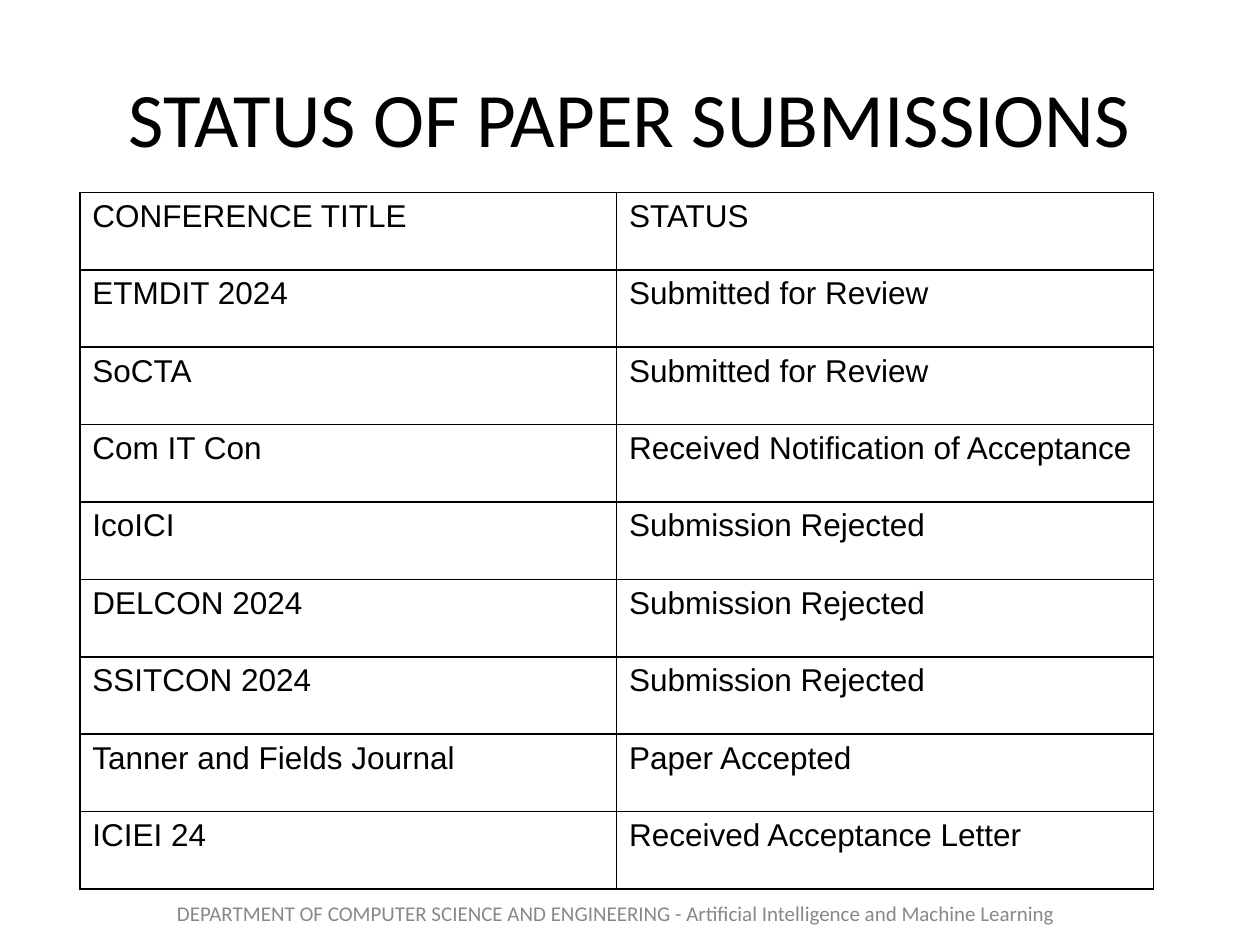
"""Build a slide that lists the status of paper submissions."""
import pptx
import pptx.dml.color
import pptx.enum.text
import pptx.oxml
import pptx.oxml.ns
import pptx.util

Cm = pptx.util.Cm
Pt = pptx.util.Pt
ANCHOR = pptx.enum.text.MSO_ANCHOR
BLACK = pptx.dml.color.RGBColor(0x00, 0x00, 0x00)
GREY = pptx.dml.color.RGBColor(0x88, 0x88, 0x88)

ROWS = [
    ("CONFERENCE TITLE", "STATUS"),
    ("ETMDIT 2024", "Submitted for Review"),
    ("SoCTA", "Submitted for Review"),
    ("Com IT Con", "Received Notification of Acceptance"),
    ("IcoICI", "Submission Rejected"),
    ("DELCON 2024", "Submission Rejected"),
    ("SSITCON 2024", "Submission Rejected"),
    ("Tanner and Fields Journal", "Paper Accepted"),
    ("ICIEI 24", "Received Acceptance Letter"),
]


def style(para, name, size, color):
    for run in para.runs:
        run.font.name = name
        run.font.size = Pt(size)
        run.font.color.rgb = color


def label(text, left, top, width, height, size, color, anchor):
    box = slide.shapes.add_textbox(Cm(left), Cm(top), Cm(width), Cm(height))
    frame = box.text_frame
    frame.word_wrap = True
    frame.vertical_anchor = anchor
    frame.text = text
    para = frame.paragraphs[0]
    para.alignment = pptx.enum.text.PP_ALIGN.CENTER
    style(para, "Calibri", size, color)
    return frame


deck = pptx.Presentation()
deck.slide_width = Cm(25.4)
deck.slide_height = Cm(19.05)
slide = deck.slides.add_slide(deck.slide_layouts[6])

label("STATUS OF PAPER SUBMISSIONS", 1.27, 0.76, 22.86, 3.18, 44, BLACK, ANCHOR.MIDDLE)

frame = slide.shapes.add_table(len(ROWS), 2, Cm(1.61), Cm(3.88), Cm(21.64), Cm(14.03))
table = frame.table
table.first_row = False
table.horz_banding = False
for row, texts in zip(table.rows, ROWS):
    row.height = Cm(1.56)
    for cell, text in zip(row.cells, texts):
        cell.text_frame.text = text
        style(cell.text_frame.paragraphs[0], "Arial", 18, BLACK)
        props = cell._tc.get_or_add_tcPr()
        for side in ("lnL", "lnR", "lnT", "lnB"):
            props.append(pptx.oxml.parse_xml(
                f'<a:{side} {pptx.oxml.ns.nsdecls("a")} w="{Pt(1)}"><a:solidFill>'
                f'<a:srgbClr val="{BLACK}"/></a:solidFill></a:{side}>'))
        cell.fill.background()

foot = label(
    "DEPARTMENT OF COMPUTER SCIENCE AND ENGINEERING - "
    "Artificial Intelligence and Machine Learning",
    0.89, 18.29, 23.06, 0.76, 12, GREY, ANCHOR.BOTTOM)
foot.margin_top = Cm(0)
foot.margin_bottom = Cm(0.38)

deck.save("out.pptx")
